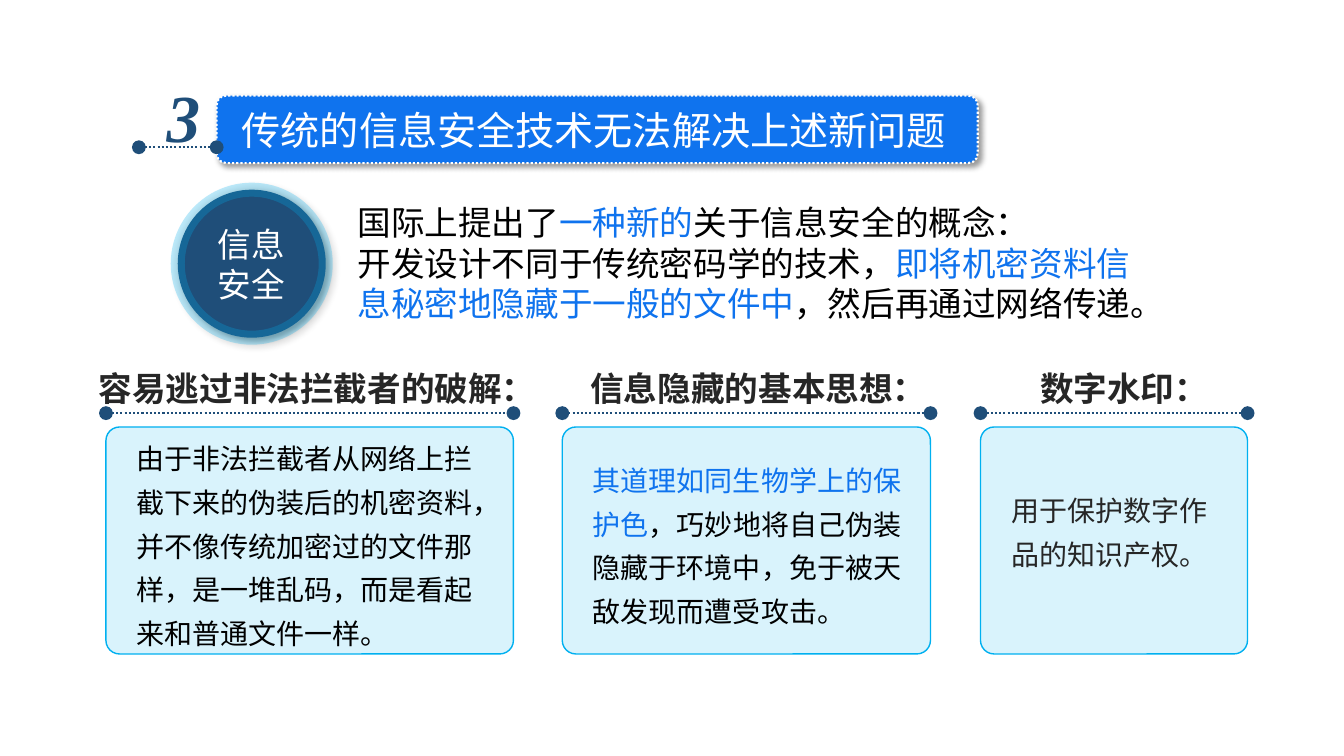
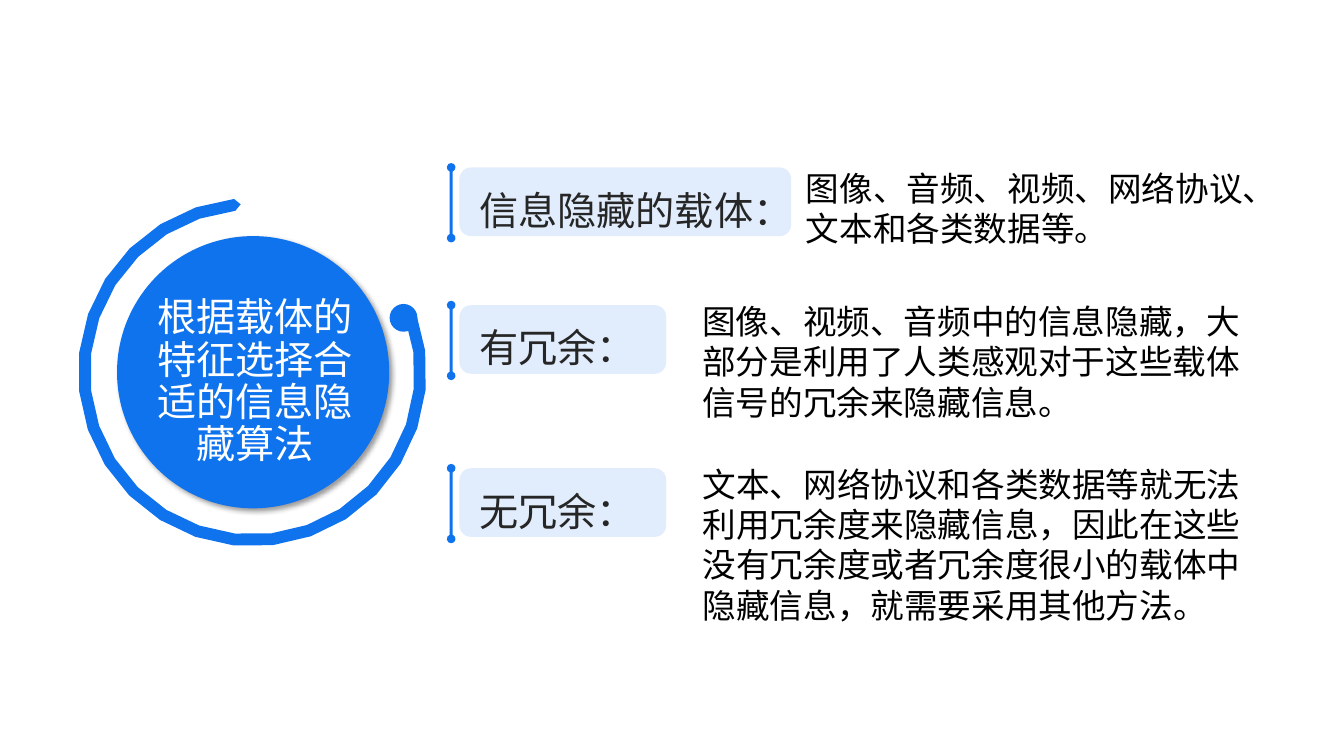
import math

from lxml import etree
from pptx import Presentation
from pptx import util as u
from pptx.dml.color import RGBColor
from pptx.enum import dml, shapes, text
from pptx.oxml.ns import qn

COLORS = {
    "blue": "0F73EE",
    "navy": "1F4E79",
    "cyan": "00B0F0",
    "dark": "262626",
    "black": "000000",
    "white": "FFFFFF",
}
SANS = "Noto Sans CJK SC"
SERIF = "Times New Roman"


def add_text(slide, paragraphs, left, top, width, height, size=24, color="black",
             font=SANS, bold=False, italic=False, align=None, spacing=None,
             wrap=True, grow=True):
    """Each paragraph is a list of (words, colour) runs, or a plain string."""
    box = slide.shapes.add_textbox(u.Cm(left), u.Cm(top), u.Cm(width), u.Cm(height))
    frame = box.text_frame
    frame.word_wrap = wrap
    if grow:
        frame.auto_size = text.MSO_AUTO_SIZE.SHAPE_TO_FIT_TEXT
    for index, runs in enumerate(paragraphs):
        paragraph = frame.add_paragraph() if index else frame.paragraphs[0]
        paragraph.alignment = align
        paragraph.line_spacing = spacing
        for words, run_color in [(runs, color)] if isinstance(runs, str) else runs:
            run = paragraph.add_run()
            run.text = words
            run.font.size = u.Pt(size)
            run.font.bold = bold
            run.font.italic = italic
            run.font.name = font
            run.font.color.rgb = RGBColor.from_string(COLORS[run_color])
            east_asian = etree.SubElement(run.font._element, qn("a:ea"))
            east_asian.set("typeface", font)


def paint(shape, fill, opacity=100, line=None, line_width=1, line_opacity=100,
          dash=None, shadow=False):
    """Set fill, outline and shadow; opacities are percentages."""
    properties = shape._element.spPr
    shape.shadow.inherit = False
    shape.fill.solid()
    shape.fill.fore_color.rgb = RGBColor.from_string(COLORS[fill])
    if line:
        shape.line.color.rgb = RGBColor.from_string(COLORS[line])
        shape.line.width = u.Pt(line_width)
        shape.line.dash_style = dash
    else:
        shape.line.fill.background()
    for parent, percent in ((properties, opacity), (properties.find(qn("a:ln")), line_opacity)):
        if percent < 100:
            tint = parent.find(qn("a:solidFill")).find(qn("a:srgbClr"))
            etree.SubElement(tint, qn("a:alpha")).set("val", str(percent * 1000))
    if shadow:
        outer = etree.SubElement(properties.find(qn("a:effectLst")), qn("a:outerShdw"),
                                 blurRad=str(u.Pt(4)), dist=str(u.Pt(3)),
                                 dir=str(45 * 60000), algn="tl", rotWithShape="0")
        tint = etree.SubElement(outer, qn("a:srgbClr"), val=COLORS["black"])
        etree.SubElement(tint, qn("a:alpha"), val="40000")


presentation = Presentation()
presentation.slide_width = u.Cm(33.87)
presentation.slide_height = u.Cm(19.05)
concept, carriers = [presentation.slides.add_slide(presentation.slide_layouts[6])
                     for _ in range(2)]
dotted = dml.MSO_LINE.ROUND_DOT

# Slide 1: numbered heading
banner = concept.shapes.add_shape(shapes.MSO_SHAPE.ROUNDED_RECTANGLE,
                                  u.Cm(5.46), u.Cm(2.41), u.Cm(19.18), u.Cm(1.7))
banner.adjustments[0] = 0.14
paint(banner, "blue", line="white", line_width=1.5, dash=dotted, shadow=True)
add_text(concept, ["传统的信息安全技术无法解决上述新问题"], 5.84, 2.55, 18.47, 1.45,
         size=28, color="white", wrap=False)
add_text(concept, ["3"], 3.95, 1.78, 1.37, 2.31, size=48, color="navy", font=SERIF,
         bold=True, italic=True, wrap=False)
rules = [(3.5, 5.46, 3.71)]  # left, right, height on the slide

# Slide 1: statement on its panel
panel = concept.shapes.add_shape(shapes.MSO_SHAPE.ROUNDED_RECTANGLE,
                                 u.Cm(6.81), u.Cm(4.8), u.Cm(23.09), u.Cm(3.73))
panel.adjustments[0] = 0.08
paint(panel, "white", opacity=50)
statement = [
    [("国际上提出了", "black"), ("一种新的", "blue"), ("关于信息安全的概念：", "black")],
    [("开发设计不同于传统密码学的技术，", "black"), ("即将机密资料信", "blue")],
    [("息秘密地隐藏于一般的文件中", "blue"), ("，然后再通过网络传递。", "black")],
]
add_text(concept, statement, 8.76, 4.97, 21.03, 3.33, wrap=False)

# Slide 1: concept badge
badge = concept.shapes.add_shape(shapes.MSO_SHAPE.OVAL,
                                 u.Cm(4.48), u.Cm(4.78), u.Cm(3.73), u.Cm(3.73))
paint(badge, "navy", line="cyan", line_width=10, line_opacity=25, shadow=True)
add_text(concept, ["信息", "安全"], 5.24, 5.51, 2.24, 2.31, color="white", wrap=False)

# Slide 1: three titled cards
# left, width, title, title left, title width, text top, text width, text height, runs
cards = [
    (2.67, 10.27, "容易逃过非法拦截者的破解：", 2.24, 11.91, 10.75, 9.27, 5.72,
     [("由于非法拦截者从网络上拦截下来的伪装后的机密资料，并不像传统加密过的文件那样，"
       "是一堆乱码，而是看起来和普通文件一样。", "black")]),
    (14.17, 9.28, "信息隐藏的基本思想：", 14.63, 9.3, 11.3, 8.86, 4.62,
     [("其道理如同生物学上的保护色", "blue"),
      ("，巧妙地将自己伪装隐藏于环境中，免于被天敌发现而遭受攻击。", "black")]),
    (24.71, 6.73, "数字水印：", 25.96, 4.9, 12.06, 5.64, 2.39,
     [("用于保护数字作品的知识产权。", "dark")]),
]
for left, width, title, title_left, title_width, top, text_width, height, runs in cards:
    card = concept.shapes.add_shape(shapes.MSO_SHAPE.ROUNDED_RECTANGLE,
                                    u.Cm(left), u.Cm(10.76), u.Cm(width), u.Cm(5.72))
    card.adjustments[0] = 0.06
    paint(card, "cyan", opacity=15, line="cyan")
    add_text(concept, [runs], left + 0.52, top, text_width, height, size=20, spacing=1.3)
    add_text(concept, [title], title_left, 9.14, title_width, 1.27, color="dark",
             bold=True, wrap=False)
    rules.append((left, left + width, 10.41))

# Slide 1: dotted rules with a dot at both ends
for left, right, height in rules:
    rule = concept.shapes.add_connector(shapes.MSO_CONNECTOR.STRAIGHT,
                                        u.Cm(left), u.Cm(height), u.Cm(right), u.Cm(height))
    rule.line.color.rgb = RGBColor.from_string(COLORS["navy"])
    rule.line.width = u.Pt(1.5)
    rule.line.dash_style = dotted
    properties = rule._element.spPr
    for end in ("a:headEnd", "a:tailEnd"):
        etree.SubElement(properties.find(qn("a:ln")), qn(end), type="oval", w="lg", len="lg")
    etree.SubElement(properties, qn("a:effectLst"))

# Slide 2: disc with its message
disc = carriers.shapes.add_shape(shapes.MSO_SHAPE.OVAL,
                                 u.Cm(2.95), u.Cm(5.95), u.Cm(6.86), u.Cm(6.86))
paint(disc, "blue", shadow=True)
add_text(carriers, ["根据载体的特征选择合适的信息隐藏算法"], 3.52, 7.38, 5.82, 4.34,
         size=28, color="white", align=text.PP_ALIGN.CENTER, spacing=0.9, grow=False)

# Slide 2: open ring with round ends, and a dot on its right end
center_x, center_y, radius, half_band = 6.36, 9.38, 4.24, 0.15
first, last, steps = -20, 264, 22
angles = [first + (last - first) * step / steps for step in range(steps + 1)]
cap = math.degrees(half_band / radius)
band = [(radius + half_band, angle) for angle in angles]
band.append((radius, last + cap))
band += [(radius - half_band, angle) for angle in reversed(angles)]
band.append((radius, first - cap))
points = [(u.Cm(center_x + distance * math.cos(math.radians(angle))),
           u.Cm(center_y + distance * math.sin(math.radians(angle))))
          for distance, angle in band]
builder = carriers.shapes.build_freeform(*points[0])
builder.add_line_segments(points[1:], close=True)
paint(builder.convert_to_shape(), "blue")
dot = carriers.shapes.add_shape(shapes.MSO_SHAPE.OVAL,
                                u.Cm(9.82), u.Cm(7.66), u.Cm(0.7), u.Cm(0.7))
paint(dot, "blue")

# Slide 2: labelled rows, each with an upright bar that ends in two knobs
# top, chip width, label, label width, body left, body top, body width, body height, body
rows = [
    (4.22, 8.36, "信息隐藏的载体：", 8.48, 20.06, 4.11, 12.9, 2.31,
     "图像、音频、视频、网络协议、文本和各类数据等。"),
    (7.69, 5.21, "有冗余：", 4.5, 17.45, 7.46, 14.58, 3.33,
     "图像、视频、音频中的信息隐藏，大部分是利用了人类感观对于这些载体信号的冗余来隐藏信息。"),
    (11.8, 5.21, "无冗余：", 4.5, 17.46, 11.56, 14.58, 4.37,
     "文本、网络协议和各类数据等就无法利用冗余度来隐藏信息，"
     "因此在这些没有冗余度或者冗余度很小的载体中隐藏信息，就需要采用其他方法。"),
]
knob, bar_x, bar_length = 0.11, 11.37, 1.78
for top, width, label, label_width, body_left, body_top, body_width, body_height, body in rows:
    chip = carriers.shapes.add_shape(shapes.MSO_SHAPE.ROUNDED_RECTANGLE,
                                     u.Cm(11.58), u.Cm(top), u.Cm(width), u.Cm(1.73))
    paint(chip, "blue", opacity=12)
    points = [(u.Cm(bar_x + knob * math.sin(math.radians(angle + turn))),
               u.Cm(knob_y + knob * math.cos(math.radians(angle + turn))))
              for knob_y, turn in ((top, 0), (top + bar_length, 180))
              for angle in range(20, 341, 40)]
    builder = carriers.shapes.build_freeform(*points[0])
    builder.add_line_segments(points[1:], close=True)
    paint(builder.convert_to_shape(), "blue")
    add_text(carriers, [label], 11.83, top - 0.25, label_width, 1.85, size=28, color="dark",
             spacing=1.5, wrap=False)
    add_text(carriers, [body], body_left, body_top, body_width, body_height)

presentation.save("out.pptx")
